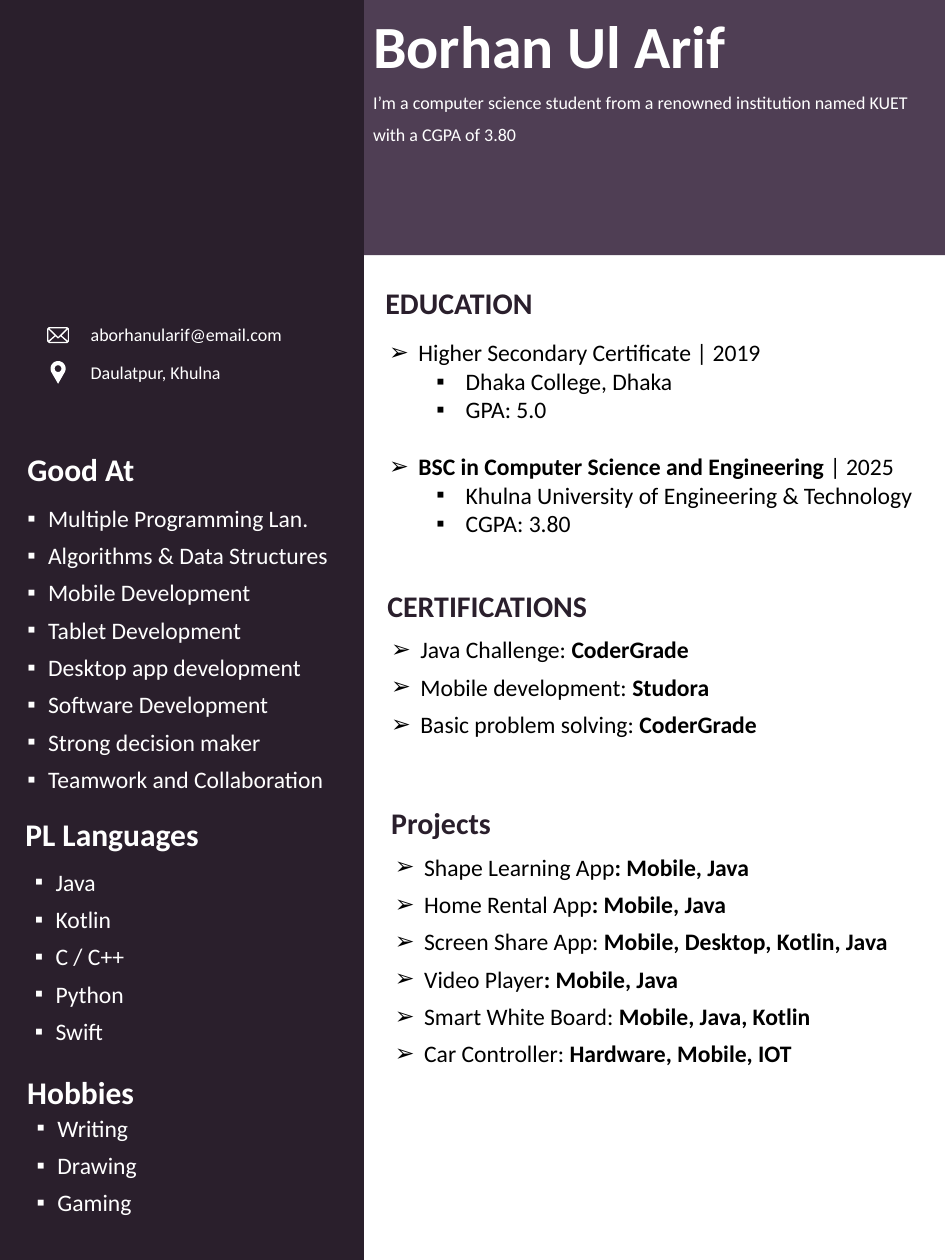
import math
from pptx import Presentation
from pptx.dml.color import RGBColor
from pptx.enum.shapes import MSO_SHAPE
from pptx.enum.text import MSO_ANCHOR, PP_ALIGN
from pptx.oxml.ns import qn
from pptx.util import Inches, Pt
from lxml import etree

RECT = MSO_SHAPE.RECTANGLE
TOP, MIDDLE = MSO_ANCHOR.TOP, MSO_ANCHOR.MIDDLE
LEFT, JUSTIFY = PP_ALIGN.LEFT, PP_ALIGN.JUSTIFY
FONT = "Calibri"
DARK, PLUM, WHITE, BLACK = "2A1F2C", "4F3E54", "FFFFFF", "000000"
ARROW, SQUARE = "➢", "▪"
COLS, ROWS = 100, 133.3  # grid cells of a tenth of an inch
SIDE = 38.5              # columns taken by the sidebar


def grid(n):
    return Inches(n / 10)


def color(value):
    return RGBColor.from_string(value)


def paint(shape, fill):
    shape.fill.solid()
    shape.fill.fore_color.rgb = color(fill)
    shape.line.fill.background()
    shape.shadow.inherit = False


def panel(s, box, fill):
    paint(s.shapes.add_shape(RECT, *map(grid, box)), fill)


def outline(s, contours, fill):
    """Draw closed contours as one shape; inner contours become holes."""
    first, *rest = [[(grid(x), grid(y)) for x, y in c] for c in contours]
    fb = s.shapes.build_freeform(*first[0], scale=1.0)
    fb.add_line_segments(first[1:], close=True)
    for c in rest:
        fb.move_to(*c[0])
        fb.add_line_segments(c[1:], close=True)
    paint(fb.convert_to_shape(), fill)


def arc(cx, cy, radius, start, end, steps=20):
    angles = [math.radians(start + (end - start) * i / steps) for i in range(steps + 1)]
    return [(cx + radius * math.cos(a), cy + radius * math.sin(a)) for a in angles]


def text_box(s, box, anchor=TOP, wrap=True, inset=True):
    tf = s.shapes.add_textbox(*map(grid, box)).text_frame
    tf.word_wrap, tf.vertical_anchor = wrap, anchor
    if not inset:
        tf.margin_left = tf.margin_right = tf.margin_top = tf.margin_bottom = 0
    return tf


def add_text(tf, runs, size, fill, align=LEFT):
    """Fill the first free paragraph with (text, bold) runs."""
    p = tf.paragraphs[0] if not tf.paragraphs[0].runs else tf.add_paragraph()
    p.alignment = align
    for text, bold in runs:
        r = p.add_run()
        r.text = text
        r.font.name, r.font.size, r.font.bold = FONT, Pt(size), bold
        r.font.color.rgb = color(fill)
    return p


def bullet(p, char, margin, hang):
    pPr = p._p.get_or_add_pPr()
    pPr.set("marL", str(Inches(margin)))
    pPr.set("indent", str(-Inches(hang)))
    etree.SubElement(pPr, qn("a:buFont")).set("typeface", "Arial")
    etree.SubElement(pPr, qn("a:buChar")).set("char", char)


def heading(s, box, title, size, fill):
    x, y, w = box[:3]
    add_text(text_box(s, (x, y, w, 4.7), MIDDLE), [(title, True)], size, fill)


def header(s, box):
    x, y, w, h = box
    panel(s, box, PLUM)
    tf = text_box(s, (x, y + 0.4, w - 2.9, 15.6))
    add_text(tf, [("Borhan Ul Arif", True)], 45.6, WHITE, JUSTIFY)
    p = add_text(tf, [("I’m a computer science student from a renowned institution "
                       "named KUET with a CGPA of 3.80", False)], 13.7, WHITE, JUSTIFY)
    p.line_spacing = 1.5


def envelope(s, box):
    x, y, w, h = box
    flaps = [
        [(0, 0.1), (0, 0.9), (1, 0.9), (1, 0.1), (0.92, 0), (0.08, 0)],
        [(0.1, 0.09), (0.5, 0.62), (0.9, 0.09)],
        [(0.05, 0.14), (0.05, 0.86), (0.34, 0.53)],
        [(0.95, 0.14), (0.95, 0.86), (0.66, 0.53)],
        [(0.38, 0.58), (0.1, 0.92), (0.9, 0.92), (0.62, 0.58), (0.5, 0.72)],
    ]
    flaps[0][1:3] = [(0, 0.9), (0.08, 1), (0.92, 1), (1, 0.9)]
    outline(s, [[(x + w * a, y + h * b) for a, b in c] for c in flaps], WHITE)


def pin(s, box):
    x, y, w, h = box
    cx, cy, radius = x + w / 2, y + w / 2, w / 2
    outline(s, [arc(cx, cy, radius, 150, 390) + [(cx, y + h)],
                arc(cx, cy, radius * 0.45, 0, 360)], WHITE)


def contacts(s, box):
    x, y, w, h = box
    envelope(s, (x, y + 0.4, 2.3, 1.7))
    pin(s, (x + 0.35, y + 4, 1.6, 2.4))
    for i, line in enumerate(("aborhanularif@email.com", "Daulatpur, Khulna")):
        tf = text_box(s, (x + 4.6, y + 4 * i, w - 4.6, 2.3), wrap=False, inset=False)
        add_text(tf, [(line, False)], 13.7, WHITE)


def skill_list(s, box, title, items, shift, drop):
    """Sidebar section: heading and square bullets in white."""
    x, y, w, h = box
    heading(s, box, title, 24, WHITE)
    tf = text_box(s, (x + shift, y + drop, w - shift, h - drop))
    for item in items:
        p = add_text(tf, [(item, False)], 18, WHITE)
        p.space_before = p.space_after = Pt(3.4)
        bullet(p, SQUARE, 0.22, 0.22)


def record_list(s, box, title, items):
    """Main section: heading and arrow bullets with a bold ending."""
    x, y, w, h = box
    heading(s, box, title, 22.8, DARK)
    tf = text_box(s, (x + 0.4, y + 5, w, h - 5))
    for plain, strong in items:
        p = add_text(tf, [(plain, False), (strong, True)], 18, BLACK)
        p.space_before = p.space_after = Pt(3.4)
        bullet(p, ARROW, 0.31, 0.31)


def education(s, box, degrees):
    x, y, w, h = box
    heading(s, box, "EDUCATION", 22.8, DARK)
    tf = text_box(s, (x + 0.4, y + 5.6, w, h - 5.6))
    for i, (degree, details) in enumerate(degrees):
        p = add_text(tf, degree, 18, BLACK)
        p.space_before = Pt(22 * i)
        bullet(p, ARROW, 0.31, 0.31)
        for detail in details:
            p = add_text(tf, [(detail, False)], 18, BLACK)
            p.level = 1
            bullet(p, SQUARE, 0.81, 0.31)


def main():
    prs = Presentation()
    prs.slide_width, prs.slide_height = grid(COLS), grid(ROWS)
    s = prs.slides.add_slide(prs.slide_layouts[6])

    # Header and sidebar
    header(s, (SIDE, 0, COLS - SIDE, 27))
    panel(s, (0, 0, SIDE, ROWS), DARK)
    contacts(s, (5, 34.2, 30, 7))
    skill_list(s, (1.9, 47.3, 35.1, 38), "Good At", (
        "Multiple Programming Lan.", "Algorithms & Data Structures",
        "Mobile Development", "Tablet Development", "Desktop app development",
        "Software Development", "Strong decision maker",
        "Teamwork and Collaboration"), 0, 5.5)
    skill_list(s, (1.7, 85.9, 31, 25), "PL Languages",
               ("Java", "Kotlin", "C / C++", "Python", "Swift"), 1, 5.4)
    skill_list(s, (1.9, 113.2, 31, 16), "Hobbies",
               ("Writing", "Drawing", "Gaming"), 1, 4.1)

    # Main column
    education(s, (39.8, 29.7, 57.5, 28.2), (
        ([("Higher Secondary Certificate | 2019", False)],
         ("Dhaka College, Dhaka", "GPA: 5.0")),
        ([("BSC in Computer Science and Engineering ", True), ("| 2025", False)],
         ("Khulna University of Engineering & Technology", "CGPA: 3.80"))))
    record_list(s, (40, 61.7, 57.1, 17.4), "CERTIFICATIONS", (
        ("Java Challenge: ", "CoderGrade"), ("Mobile development: ", "Studora"),
        ("Basic problem solving: ", "CoderGrade")))
    record_list(s, (40.4, 84.7, 57.1, 28.4), "Projects", (
        ("Shape Learning App", ": Mobile, Java"), ("Home Rental App", ": Mobile, Java"),
        ("Screen Share App: ", "Mobile, Desktop, Kotlin, Java"),
        ("Video Player", ": Mobile, Java"), ("Smart White Board: ", "Mobile, Java, Kotlin"),
        ("Car Controller:", " Hardware, Mobile, IOT")))
    prs.save("out.pptx")


if __name__ == "__main__":
    main()
